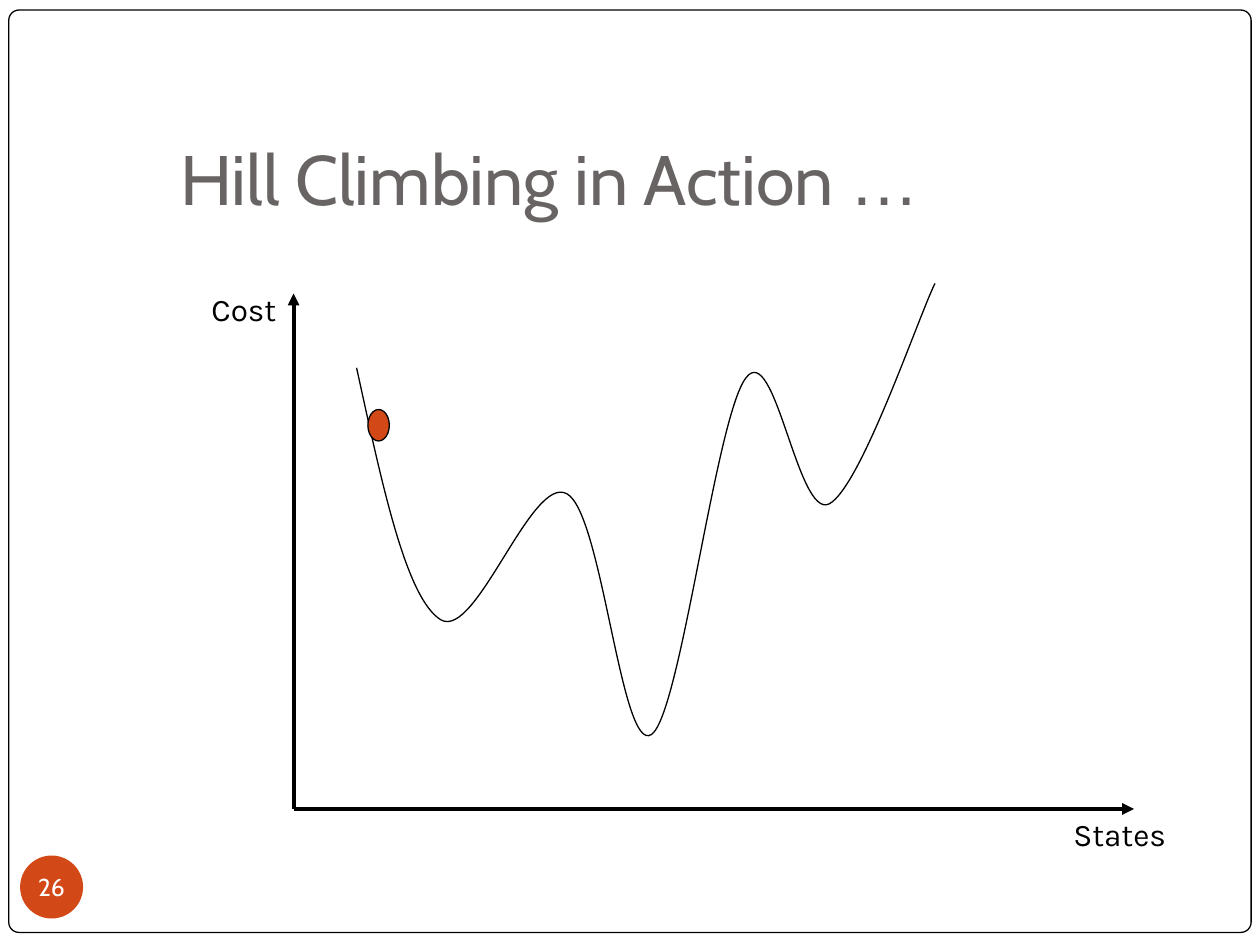
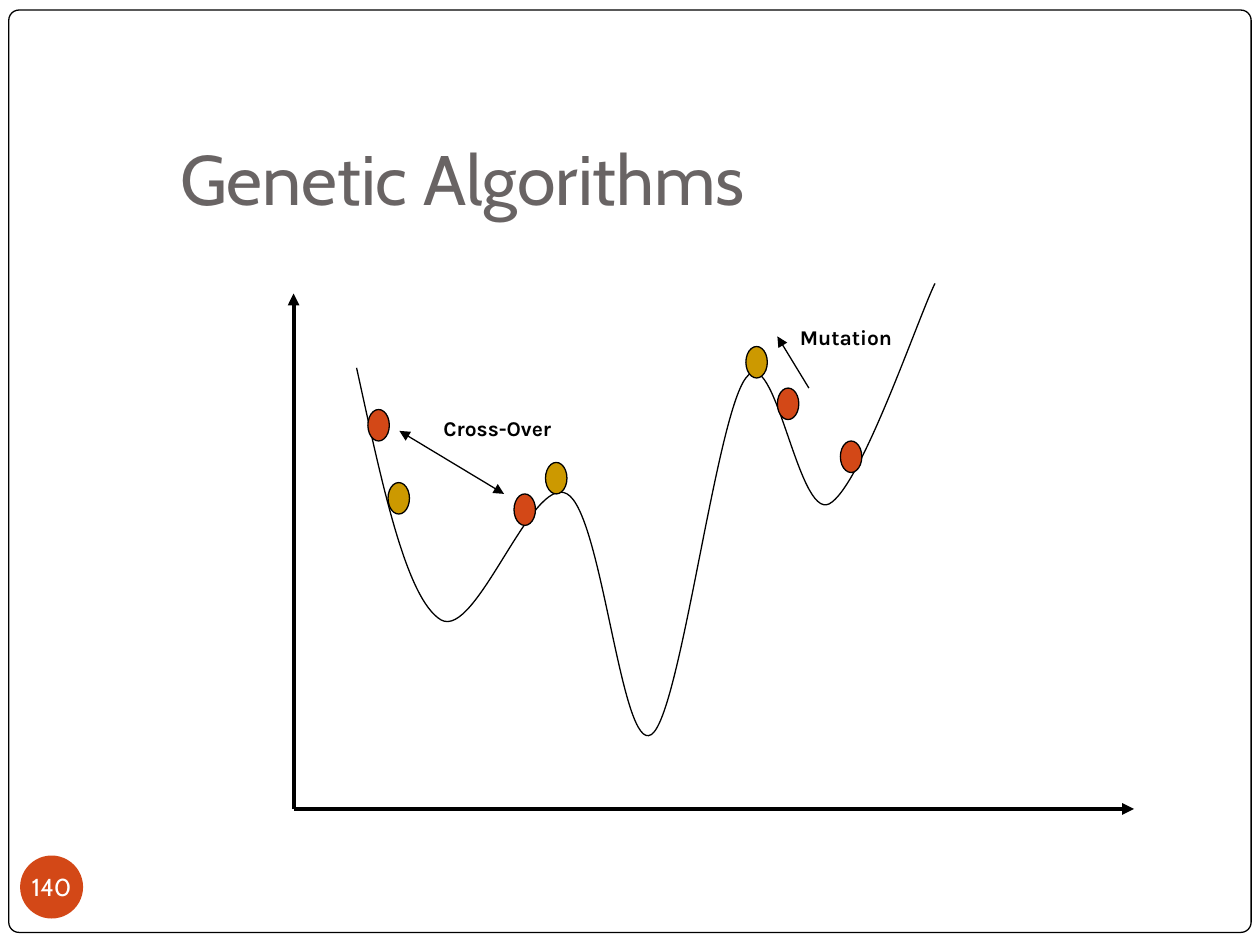
from lxml.etree import SubElement
from pptx import Presentation
from pptx.dml.color import RGBColor
from pptx.enum.shapes import MSO_CONNECTOR, MSO_SHAPE
from pptx.enum.text import MSO_ANCHOR, MSO_AUTO_SIZE, PP_ALIGN
from pptx.oxml.ns import qn
from pptx.util import Inches, Pt

COLORS = {
    "ink": "000000",
    "paper": "FFFFFF",
    "title": "696464",
    "accent": "D34817",
    "gold": "CC9900",
}
HEADING_FONT = "Cabin"
LABEL_FONT = "Karla"
ORIGIN = (2.33, 6.42)
COST_END = (2.33, 2.33)
STATES_END = (9, 6.42)
CURVE_START = (2.83, 2.92)
CURVE_SEGMENTS = [
    [(3.03, 3.83), (3.22, 4.75), (3.5, 4.92)],
    [(3.78, 5.08), (4.22, 3.76), (4.5, 3.92)],
    [(4.78, 4.07), (4.93, 5.99), (5.17, 5.83)],
    [(5.4, 5.68), (5.68, 3.31), (5.92, 3)],
    [(6.15, 2.69), (6.33, 4.12), (6.58, 4)],
    [(6.83, 3.87), (7.28, 2.54), (7.42, 2.25)],
]


def rgb(name):
    return RGBColor.from_string(COLORS[name])


def write(tf, text, size=18, font=LABEL_FONT, color="ink", bold=False,
          align=PP_ALIGN.LEFT, anchor=MSO_ANCHOR.TOP,
          insets=(0.1, 0.05, 0.1, 0.05), wrap=True):
    tf.auto_size = MSO_AUTO_SIZE.NONE
    tf.word_wrap = wrap
    tf.vertical_anchor = anchor
    tf.margin_left, tf.margin_top, tf.margin_right, tf.margin_bottom = map(Inches, insets)
    p = tf.paragraphs[0]
    p.alignment = align
    r = p.add_run()
    r.text = text
    r.font.name = font
    r.font.size = Pt(size)
    r.font.bold = bold
    r.font.color.rgb = rgb(color)
    return p


class Deck:
    def __init__(self):
        self.prs = Presentation()
        self.prs.slide_width = Inches(10)
        self.prs.slide_height = Inches(7.5)
        self.s = None

    def new_slide(self, title, number):
        self.s = self.prs.slides.add_slide(self.prs.slide_layouts[5])
        frame = self.shape(MSO_SHAPE.ROUNDED_RECTANGLE, 0.07, 0.08, 9.86, 7.32,
                           "paper", line="ink")
        frame.adjustments[0] = 0.011
        self.s.shapes._spTree.insert(2, frame._element)
        p = self.title(title)
        badge = self.shape(MSO_SHAPE.OVAL, 0.16, 6.79, 0.5, 0.5, "accent")
        write(badge.text_frame, str(number), size=14, font=HEADING_FONT, color="paper",
              align=PP_ALIGN.CENTER, anchor=MSO_ANCHOR.MIDDLE, insets=(0, 0, 0, 0),
              wrap=False)
        return p

    def title(self, text):
        sp = self.s.shapes.title
        sp.left, sp.top, sp.width, sp.height = map(Inches, (1.33, 0.94, 8.52, 0.9))
        return write(sp.text_frame, text, size=40, font=HEADING_FONT, color="title",
                     anchor=MSO_ANCHOR.BOTTOM, insets=(0.1, 0.05, 0.1, 0.1))

    def shape(self, kind, x, y, w, h, fill, line=None):
        sp = self.s.shapes.add_shape(kind, *map(Inches, (x, y, w, h)))
        sp.shadow.inherit = False
        sp.fill.solid()
        sp.fill.fore_color.rgb = rgb(fill)
        if line:
            sp.line.color.rgb = rgb(line)
            sp.line.width = Pt(0.75)
        else:
            sp.line.fill.background()
        return sp

    def ball(self, x, y, fill="accent"):
        self.shape(MSO_SHAPE.OVAL, x, y, 0.17, 0.25, fill, line="ink")

    def label(self, text, x, y, w, h, **style):
        box = self.s.shapes.add_textbox(*map(Inches, (x, y, w, h)))
        write(box.text_frame, text, **style)

    def arrow(self, start, end, width=0.75, both=False):
        cx = self.s.shapes.add_connector(MSO_CONNECTOR.STRAIGHT,
                                         *map(Inches, (*start, *end)))
        cx.line.color.rgb = rgb("ink")
        cx.line.width = Pt(width)
        ln = cx.line._get_or_add_ln()
        for tag in ["a:headEnd", "a:tailEnd"] if both else ["a:tailEnd"]:
            SubElement(ln, qn(tag), type="triangle")
        SubElement(cx._element.spPr, qn("a:effectLst"))

    def curve(self, start, segments):
        builder = self.s.shapes.build_freeform(*map(Inches, start))
        points = [tuple(map(Inches, point)) for segment in segments for point in segment]
        builder.add_line_segments(points, close=False)
        sp = builder.convert_to_shape()
        sp.shadow.inherit = False
        sp.fill.background()
        sp.line.color.rgb = rgb("ink")
        sp.line.width = Pt(0.75)
        outline = sp._element.xpath(".//a:path")[0]
        steps = outline.findall(qn("a:lnTo"))
        for i in range(0, len(steps), 3):
            bezier = SubElement(outline, qn("a:cubicBezTo"))
            for step in steps[i:i + 3]:
                bezier.append(step[0])
                outline.remove(step)

    def landscape(self):
        for axis_end in (COST_END, STATES_END):
            self.arrow(ORIGIN, axis_end, width=2.25)
        self.curve(CURVE_START, CURVE_SEGMENTS)


def hill_climbing(deck):
    p = deck.new_slide("Hill Climbing in Action ", 26)
    r = p.add_run()
    r.text = "…"
    r.font.name = "Arial"
    r.font.size = Pt(40)
    r.font.color.rgb = rgb("title")
    deck.landscape()
    deck.ball(2.92, 3.25)
    deck.label("Cost", 1.58, 2.25, 1.08, 0.4)
    deck.label("States", 8.42, 6.42, 1.17, 0.4)


def genetic_algorithms(deck):
    deck.new_slide("Genetic Algorithms", 140)
    deck.landscape()
    for x, y in [(2.92, 3.25), (4.08, 3.92), (6.17, 3.08), (6.67, 3.5)]:
        deck.ball(x, y)
    for x, y in [(3.08, 3.83), (4.33, 3.67), (5.92, 2.75)]:
        deck.ball(x, y, fill="gold")
    deck.arrow((3.17, 3.42), (4, 3.92), both=True)
    deck.arrow((6.42, 3.08), (6.17, 2.67))
    deck.label("Mutation", 6.25, 2.53, 1.08, 0.3, size=12, bold=True)
    deck.label("Cross-Over", 3.42, 3.25, 1.25, 0.3, size=12, bold=True)


def main():
    deck = Deck()
    hill_climbing(deck)
    genetic_algorithms(deck)
    deck.prs.save("out.pptx")


if __name__ == "__main__":
    main()
